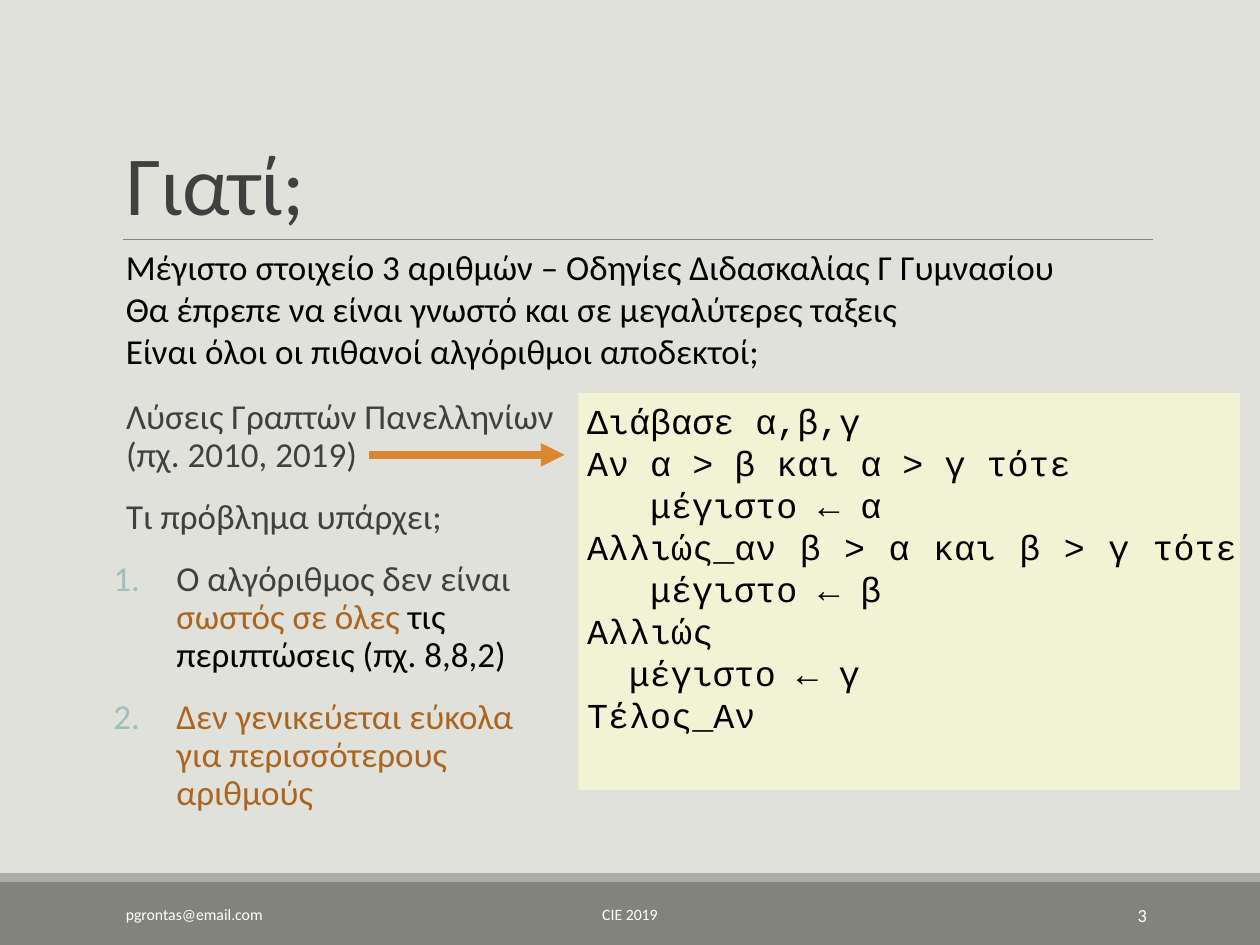
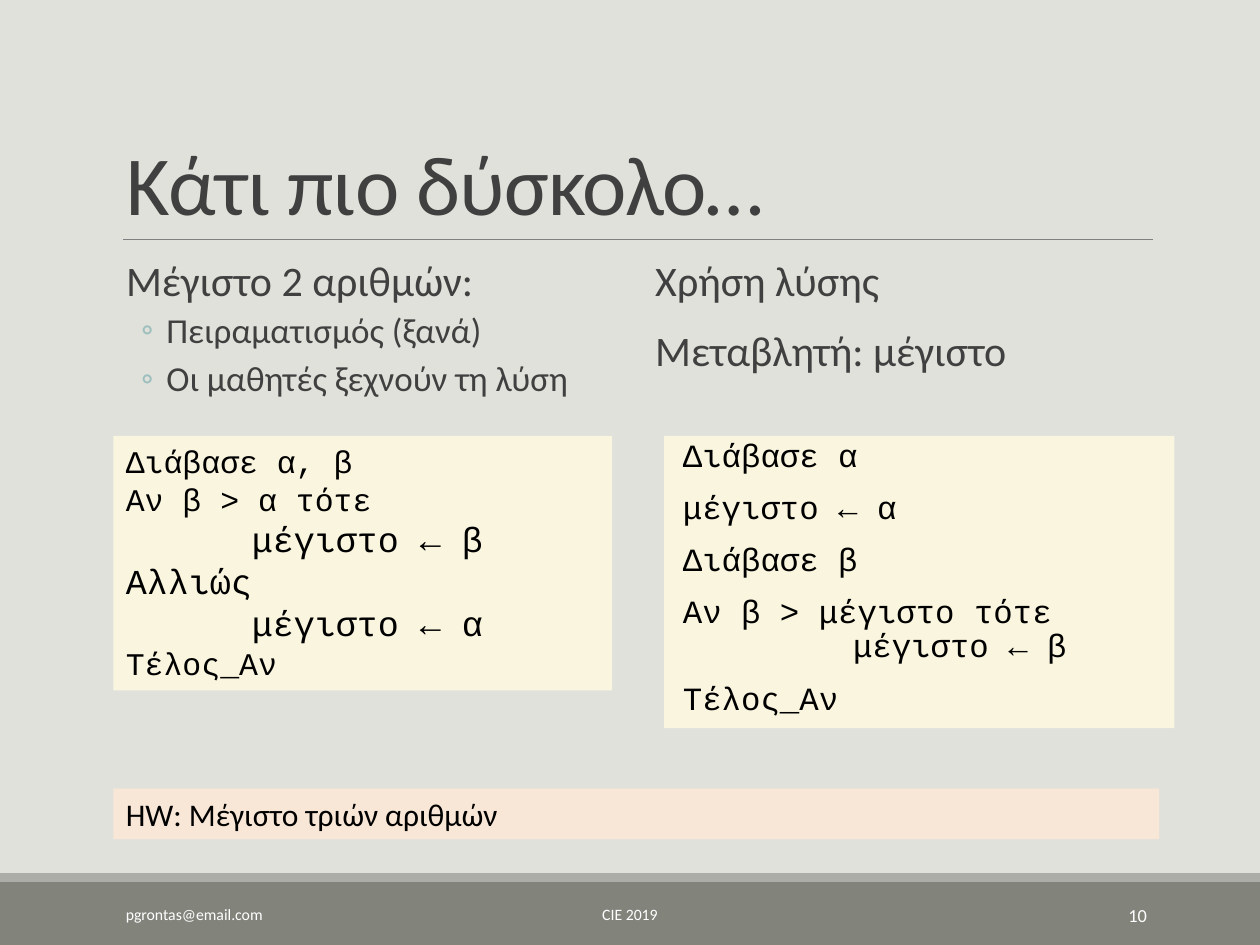
from lxml.etree import SubElement
from pptx import Presentation
from pptx.dml.color import RGBColor as Rgb
from pptx.enum.shapes import MSO_CONNECTOR as Connector, MSO_SHAPE as Shape
from pptx.enum.text import MSO_ANCHOR as Anchor, MSO_AUTO_SIZE as Fit, PP_ALIGN as Align
from pptx.oxml.ns import qn
from pptx.util import Pt

PX = 9144
COLORS = {
    "page": "E1E1DB", "footer": "82847C", "stripe": "ACADA8", "rule": "808080",
    "title": "404040", "text": "000000", "light": "FFFFFF", "marker": "9DBFBE",
    "accent": "AB651E", "arrow": "DB8631", "green": "F2F2D4", "cream": "F9F5DE",
    "peach": "F8E7D6",
}
BODY = {"line_spacing": 0.9, "space_before": Pt(12), "space_after": Pt(2)}
SUBPOINT = {"line_spacing": 0.9, "space_before": Pt(2), "space_after": Pt(4)}
CODE = {"alignment": Align.JUSTIFY}
LOOSE_CODE = {**CODE, "line_spacing": 0.8, "space_before": Pt(12)}
BODY_INSETS = (0, 5, 0, 5)
NUMBER = ("buAutoNum", {"type": "arabicPeriod"})
CIRCLE = ("buChar", {"char": "◦"})


def rgb(name):
    """Return the named colour."""
    return Rgb.from_string(COLORS[name])


class SlideBuilder:
    """Hold the deck style and draw elements on the current slide."""

    def __init__(self):
        """Start a deck with the shared background."""
        self.deck = Presentation()
        self.deck.slide_width, self.deck.slide_height = 1000 * PX, 750 * PX
        fill = self.deck.slide_master.background.fill
        fill.solid()
        fill.fore_color.rgb = rgb("page")
        self.page = None

    def start(self, title, number):
        """Add a slide with its title, bands and footer."""
        self.page = self.deck.slides.add_slide(self.deck.slide_layouts[5])
        self.band((0, 700, 1000, 50), "footer")
        self.band((0, 693, 1000, 7), "stripe")
        self.line((98, 190, 915, 190), "rule", 0.5)
        holder = self.page.shapes.title
        for name, value in zip(("left", "top", "width", "height"), (90, 31, 825, 159)):
            setattr(holder, name, value * PX)
        self.frame(holder, anchor=Anchor.BOTTOM)
        para = holder.text_frame.paragraphs[0]
        self.fill_para(para, title, {"line_spacing": 0.85}, 48, color="title")
        para.runs[0].font._element.set("spc", "-50")
        footer = (
            ((90, 706, 203, 40), "pgrontas@email.com", 9, Align.LEFT),
            ((302, 706, 396, 40), "CIE 2019", 9, Align.CENTER),
            ((812, 706, 108, 40), str(number), 10.5, Align.RIGHT),
        )
        for place, text, size, alignment in footer:
            box = self.box(place, anchor=Anchor.MIDDLE)
            self.add(box, text, {"alignment": alignment}, size, color="light")

    def band(self, place, color):
        """Draw a plain filled rectangle."""
        band = self.page.shapes.add_shape(Shape.RECTANGLE, *(value * PX for value in place))
        band.shadow.inherit = False
        band.fill.solid()
        band.fill.fore_color.rgb = rgb(color)
        band.line.fill.background()
        return band

    def line(self, ends, color, width, arrow=False):
        """Draw a straight line, with an optional arrowhead."""
        line = self.page.shapes.add_connector(Connector.STRAIGHT, *(value * PX for value in ends))
        line.line.color.rgb = rgb(color)
        line.line.width = Pt(width)
        properties = line._element.spPr
        if arrow:
            SubElement(properties.find(qn("a:ln")), qn("a:tailEnd"), type="triangle")
        SubElement(properties, qn("a:effectLst"))

    def frame(self, shape, insets=(10, 5, 10, 5), anchor=Anchor.TOP):
        """Set the wrapping, margins and anchor of a text frame."""
        frame = shape.text_frame
        sides = ("margin_left", "margin_top", "margin_right", "margin_bottom")
        values = {side: inset * PX for side, inset in zip(sides, insets)}
        values.update(word_wrap=True, auto_size=Fit.NONE, vertical_anchor=anchor)
        for name, value in values.items():
            setattr(frame, name, value)

    def box(self, place, fill=None, insets=(10, 5, 10, 5), anchor=Anchor.TOP):
        """Add a text box, filled when a colour is given."""
        if fill:
            box = self.band(place, fill)
        else:
            box = self.page.shapes.add_textbox(*(value * PX for value in place))
        self.frame(box, insets, anchor)
        return box

    def add(self, box, text, style, size, **options):
        """Append one paragraph to a box."""
        frame = box.text_frame
        first = frame.paragraphs[0]
        para = frame.add_paragraph() if first.runs else first
        self.fill_para(para, text, style, size, **options)

    def fill_para(self, para, text, style, size, font="Calibri", color="text",
                  margin=0, indent=0, bullet=None):
        """Fill a paragraph with text or with (text, colour) spans."""
        for name, value in {"alignment": Align.LEFT, **style}.items():
            setattr(para, name, value)
        properties = para._p.get_or_add_pPr()
        properties.set("marL", str(margin * PX))
        properties.set("indent", str(indent * PX))
        if bullet:
            tint = SubElement(properties, qn("a:buClr"))
            SubElement(tint, qn("a:srgbClr"), val=COLORS["marker"])
            SubElement(properties, qn("a:buFont"), typeface="Calibri")
            tag, values = bullet
            SubElement(properties, qn(f"a:{tag}"), **values)
        for words, shade in [(text, color)] if isinstance(text, str) else text:
            span = para.add_run()
            span.text = words
            for name, value in {"name": font, "size": Pt(size)}.items():
                setattr(span.font, name, value)
            span.font.color.rgb = rgb(shade)

    def code(self, box, lines, style):
        """Add code lines given as (text, size, indent, overrides)."""
        for text, size, indent, overrides in lines:
            self.add(box, text, {**style, **overrides}, size, font="Courier New", margin=indent)


def build_reasons(builder):
    """Build the slide on the maximum of three numbers."""
    builder.start("Γιατί;", 3)
    body = builder.box((90, 312, 358, 346), insets=BODY_INSETS)
    for text in ("Λύσεις Γραπτών Πανελληνίων (πχ. 2010, 2019)", "Τι πρόβλημα υπάρχει;"):
        builder.add(body, text, BODY, 20, color="title", margin=10)
    problems = (
        [("Ο αλγόριθμος δεν είναι ", "title"), ("σωστός σε όλες ", "accent"),
         ("τις περιπτώσεις (πχ. 8,8,2)", "text")],
        [("Δεν γενικεύεται εύκολα για περισσότερους αριθμούς", "accent")],
    )
    for problem in problems:
        builder.add(body, problem, BODY, 20, margin=50, indent=-50, bullet=NUMBER)
    listing = builder.box((459, 312, 525, 315), "green", (7, 5, 2, 5))
    lines = (
        ("Διάβασε α,β,γ", 0), ("Αν α > β και α > γ τότε", 0), ("μέγιστο ← α", 50),
        ("Αλλιώς_αν β > α και β > γ τότε ", 0), ("μέγιστο ← β", 50),
        ("Αλλιώς", 0), ("μέγιστο ← γ", 33), ("Τέλος_Αν", 0),
    )
    builder.code(listing, [(text, 20, indent, {}) for text, indent in lines], CODE)
    intro = builder.box((90, 190, 830, 111))
    for text in (
        "Μέγιστο στοιχείο 3 αριθμών – Οδηγίες Διδασκαλίας Γ Γυμνασίου",
        "Θα έπρεπε να είναι γνωστό και σε μεγαλύτερες ταξεις",
        "Είναι όλοι οι πιθανοί αλγόριθμοι αποδεκτοί;",
    ):
        builder.add(intro, text, {}, 20)
    builder.line((293, 361, 448, 361), "arrow", 4.5, arrow=True)


def build_harder(builder):
    """Build the slide comparing two ways to find a maximum."""
    builder.start("Κάτι πιο δύσκολο…", 10)
    left = builder.box((90, 202, 405, 116), insets=BODY_INSETS)
    builder.add(left, "Μέγιστο 2 αριθμών:", BODY, 24, color="title", margin=10)
    for text in ("Πειραματισμός (ξανά)", "Οι μαθητές ξεχνούν τη λύση"):
        builder.add(left, text, SUBPOINT, 20, color="title", margin=42, indent=-20, bullet=CIRCLE)
    right = builder.box((510, 202, 405, 116), insets=BODY_INSETS)
    for text in ("Χρήση λύσης", "Μεταβλητή: μέγιστο"):
        builder.add(right, text, BODY, 24, color="title", margin=10)
    branches = builder.box((90, 346, 396, 202), "cream")
    builder.code(branches, (
        ("Διάβασε α, β", 18, 0, {}), ("Αν β > α τότε", 18, 0, {}),
        ("μέγιστο ← β", 20, 100, {}), ("Αλλιώς", 20, 0, {}),
        ("μέγιστο ← α", 20, 100, {}), ("Τέλος_Αν", 18, 0, {}),
    ), CODE)
    variable = builder.box((527, 346, 405, 232), "cream", (15, 5, 0, 5))
    builder.code(variable, (
        ("Διάβασε α", 18.5, 0, {}), ("μέγιστο ← α", 18.5, 0, {}),
        ("Διάβασε β", 18.5, 0, {}), ("Αν β > μέγιστο τότε", 18.5, 0, {}),
        ("μέγιστο ← β", 18.5, 135, {"space_before": Pt(2)}), ("Τέλος_Αν", 18.5, 0, {}),
    ), LOOSE_CODE)
    homework = builder.box((90, 626, 830, 40), "peach")
    builder.add(homework, "HW: Μέγιστο τριών αριθμών", {}, 18)


def main():
    """Build and save the deck."""
    builder = SlideBuilder()
    build_reasons(builder)
    build_harder(builder)
    builder.deck.save("out.pptx")


if __name__ == "__main__":
    main()
